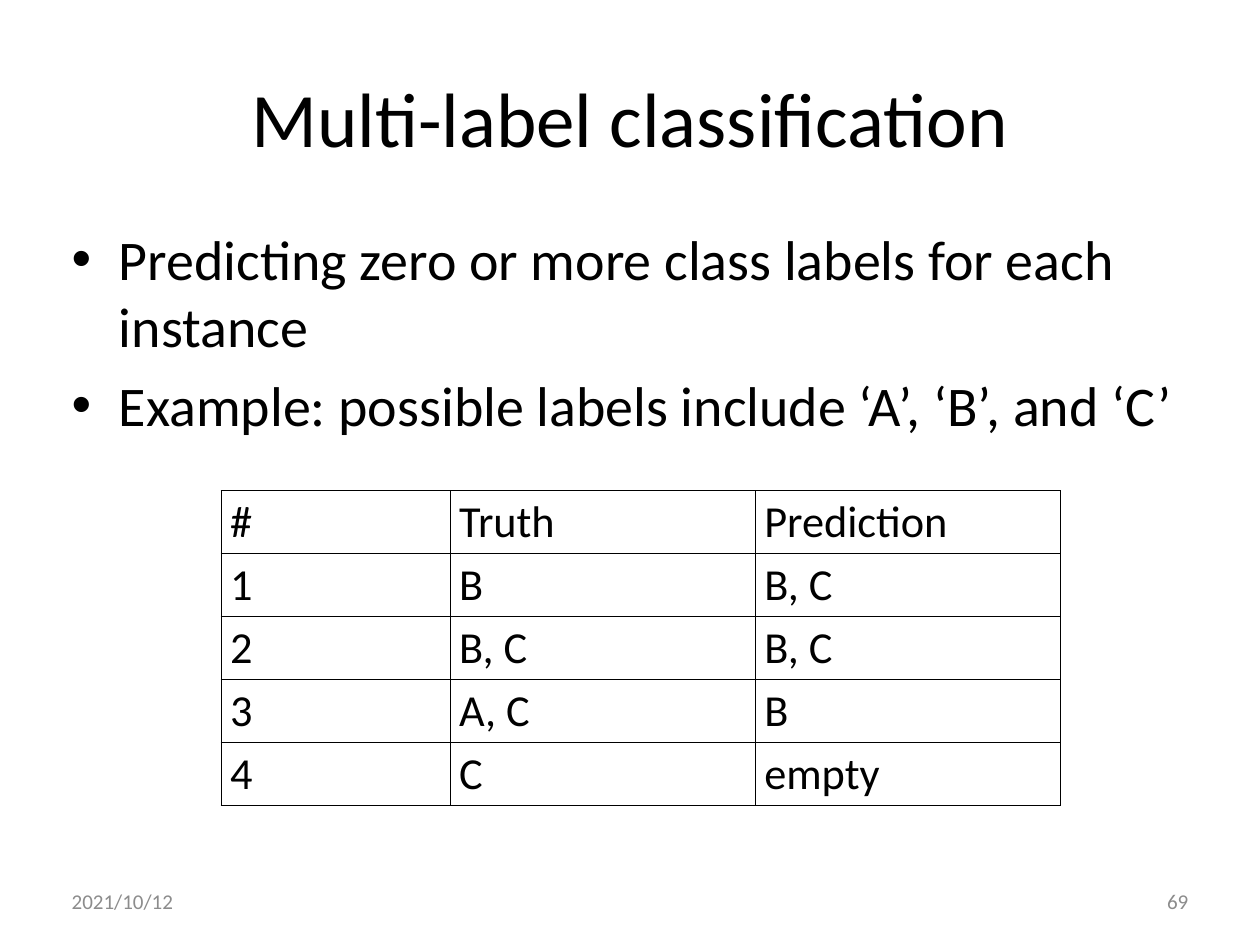
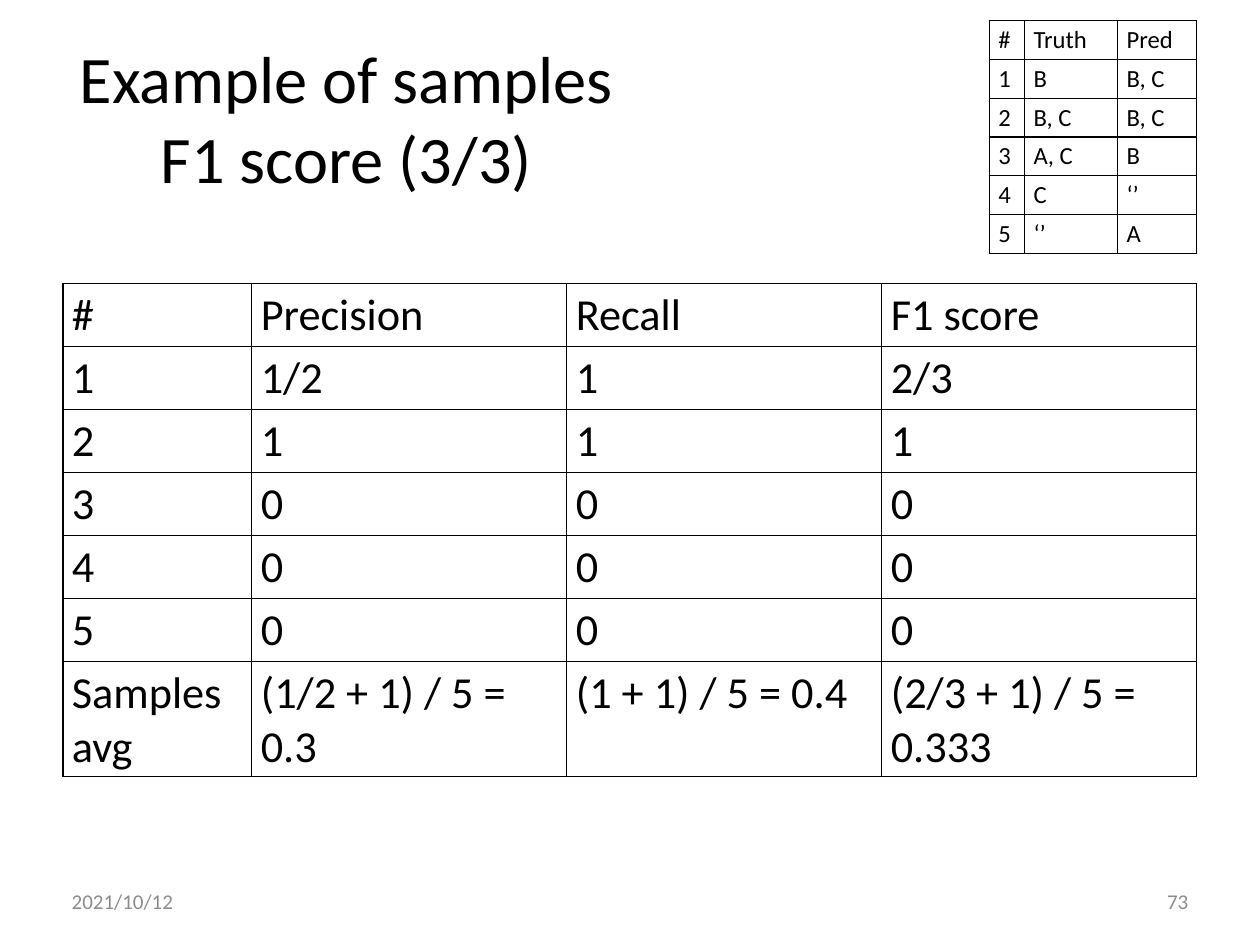
from dataclasses import dataclass

from lxml import etree
from pptx import Presentation
from pptx.dml.color import RGBColor
from pptx.enum.text import MSO_ANCHOR, PP_ALIGN
from pptx.oxml.ns import qn
from pptx.slide import Slide
from pptx.table import _Cell
from pptx.text.text import TextFrame, _Paragraph
from pptx.util import Pt

LEFT, CENTER, RIGHT = PP_ALIGN.LEFT, PP_ALIGN.CENTER, PP_ALIGN.RIGHT
TOP, MIDDLE = MSO_ANCHOR.TOP, MSO_ANCHOR.MIDDLE

COLORS = {"text": "000000", "footer": "8C8C8C", "rule": "000000"}
FONT = "Calibri"
SLIDE_WIDTH, SLIDE_HEIGHT = 1024, 768
MARGIN = 51.2
CONTENT_WIDTH = SLIDE_WIDTH - 2 * MARGIN
FOOTER_WIDTH = 239
BULLET_INDENT = 38.4
DATE = "2021/10/12"


@dataclass(frozen=True)
class Box:
    left: float
    top: float
    width: float
    height: float


@dataclass(frozen=True)
class Grid:
    left: float
    top: float
    columns: tuple[float, ...]
    row_height: float
    size: float
    rows: tuple[tuple[str, ...], ...]


LABELS = Grid(
    179.8, 398.9, (186.2, 248, 248), 51.2, 36,
    (
        ("#", "Truth", "Prediction"),
        ("1", "B", "B, C"),
        ("2", "B, C", "B, C"),
        ("3", "A, C", "B"),
        ("4", "C", "empty"),
    ),
)
SCORES = Grid(
    MARGIN, 230.4, (153.6, 256, 256, 256), 51.2, 36,
    (
        ("#", "Precision", "Recall", "F1 score"),
        ("1", "1/2", "1", "2/3"),
        ("2", "1", "1", "1"),
        ("3", "0", "0", "0"),
        ("4", "0", "0", "0"),
        ("5", "0", "0", "0"),
        ("Samples avg", "(1/2 + 1) / 5 = 0.3", "(1 + 1) / 5 = 0.4",
         "(2/3 + 1) / 5 = 0.333"),
    ),
)
SAMPLES = Grid(
    804.2, 16.6, (28.6, 75.6, 64.4), 31.6, 20,
    (
        ("#", "Truth", "Pred"),
        ("1", "B", "B, C"),
        ("2", "B, C", "B, C"),
        ("3", "A, C", "B"),
        ("4", "C", "‘’"),
        ("5", "‘’", "A"),
    ),
)


def style(paragraph: _Paragraph, size: float, color: str, align: PP_ALIGN) -> None:
    paragraph.alignment = align
    paragraph.font.name = FONT
    paragraph.font.size = Pt(size)
    paragraph.font.color.rgb = RGBColor.from_string(COLORS[color])


def add_frame(slide: Slide, box: Box, anchor: MSO_ANCHOR) -> TextFrame:
    frame = slide.shapes.add_textbox(
        Pt(box.left), Pt(box.top), Pt(box.width), Pt(box.height)
    ).text_frame
    frame.word_wrap = True
    frame.vertical_anchor = anchor
    return frame


def add_line(slide: Slide, text: str, box: Box, size: float,
             color: str, align: PP_ALIGN) -> None:
    """Add a vertically centred text box holding one paragraph."""
    paragraph = add_frame(slide, box, MIDDLE).paragraphs[0]
    paragraph.text = text
    style(paragraph, size, color, align)


def add_bullets(slide: Slide, items: tuple[str, ...], box: Box, size: float) -> None:
    frame = add_frame(slide, box, TOP)
    for index, item in enumerate(items):
        paragraph = frame.paragraphs[0] if index == 0 else frame.add_paragraph()
        paragraph.text = item
        if index:
            paragraph.space_before = Pt(9.5)
        properties = paragraph._p.get_or_add_pPr()
        properties.set("marL", str(Pt(BULLET_INDENT)))
        properties.set("indent", str(-Pt(BULLET_INDENT)))
        etree.SubElement(properties, qn("a:buFont"), typeface="Arial")
        etree.SubElement(properties, qn("a:buChar"), char="•")
        style(paragraph, size, "text", LEFT)


def outline(cell: _Cell) -> None:
    """Clear the cell's fill and rule all four of its sides."""
    cell.fill.background()
    properties = cell._tc.get_or_add_tcPr()
    for position, side in enumerate(("lnL", "lnR", "lnT", "lnB")):
        line = etree.Element(qn(f"a:{side}"), w=str(Pt(1)))
        fill = etree.SubElement(line, qn("a:solidFill"))
        etree.SubElement(fill, qn("a:srgbClr"), val=COLORS["rule"])
        properties.insert(position, line)


def add_grid(slide: Slide, grid: Grid) -> None:
    table = slide.shapes.add_table(
        len(grid.rows), len(grid.columns), Pt(grid.left), Pt(grid.top),
        Pt(sum(grid.columns)), Pt(grid.row_height * len(grid.rows)),
    ).table
    table.first_row = table.horz_banding = False
    for column, width in zip(table.columns, grid.columns):
        column.width = Pt(width)
    for row, texts in zip(table.rows, grid.rows):
        row.height = Pt(grid.row_height)
        for cell, text in zip(row.cells, texts):
            outline(cell)
            paragraph = cell.text_frame.paragraphs[0]
            paragraph.text = text
            style(paragraph, grid.size, "text", LEFT)


def add_titled_slide(deck: Presentation, title: str, title_width: float,
                     title_size: float, number: int) -> Slide:
    """Add a blank-layout slide with its title, date and page number."""
    slide = deck.slides.add_slide(deck.slide_layouts[6])
    add_line(slide, title, Box(MARGIN, 31, title_width, 128),
             title_size, "text", CENTER)
    number_left = SLIDE_WIDTH - MARGIN - FOOTER_WIDTH
    for text, left, align in ((DATE, MARGIN, LEFT),
                              (str(number), number_left, RIGHT)):
        add_line(slide, text, Box(left, 712, FOOTER_WIDTH, 41),
                 17.1, "footer", align)
    return slide


def main() -> None:
    deck = Presentation()
    deck.slide_width, deck.slide_height = Pt(SLIDE_WIDTH), Pt(SLIDE_HEIGHT)

    multi_label = add_titled_slide(
        deck, "Multi-label classification", CONTENT_WIDTH, 62.6, 69)
    add_bullets(
        multi_label,
        ("Predicting zero or more class labels for each instance",
         "Example: possible labels include ‘A’, ‘B’, and ‘C’"),
        Box(MARGIN, 179.2, CONTENT_WIDTH, 507), 45.5,
    )
    add_grid(multi_label, LABELS)

    samples_f1 = add_titled_slide(
        deck, "Example of samples F1 score (3/3)", CONTENT_WIDTH / 2, 54, 73)
    add_grid(samples_f1, SCORES)
    add_grid(samples_f1, SAMPLES)

    deck.save("out.pptx")


if __name__ == "__main__":
    main()
